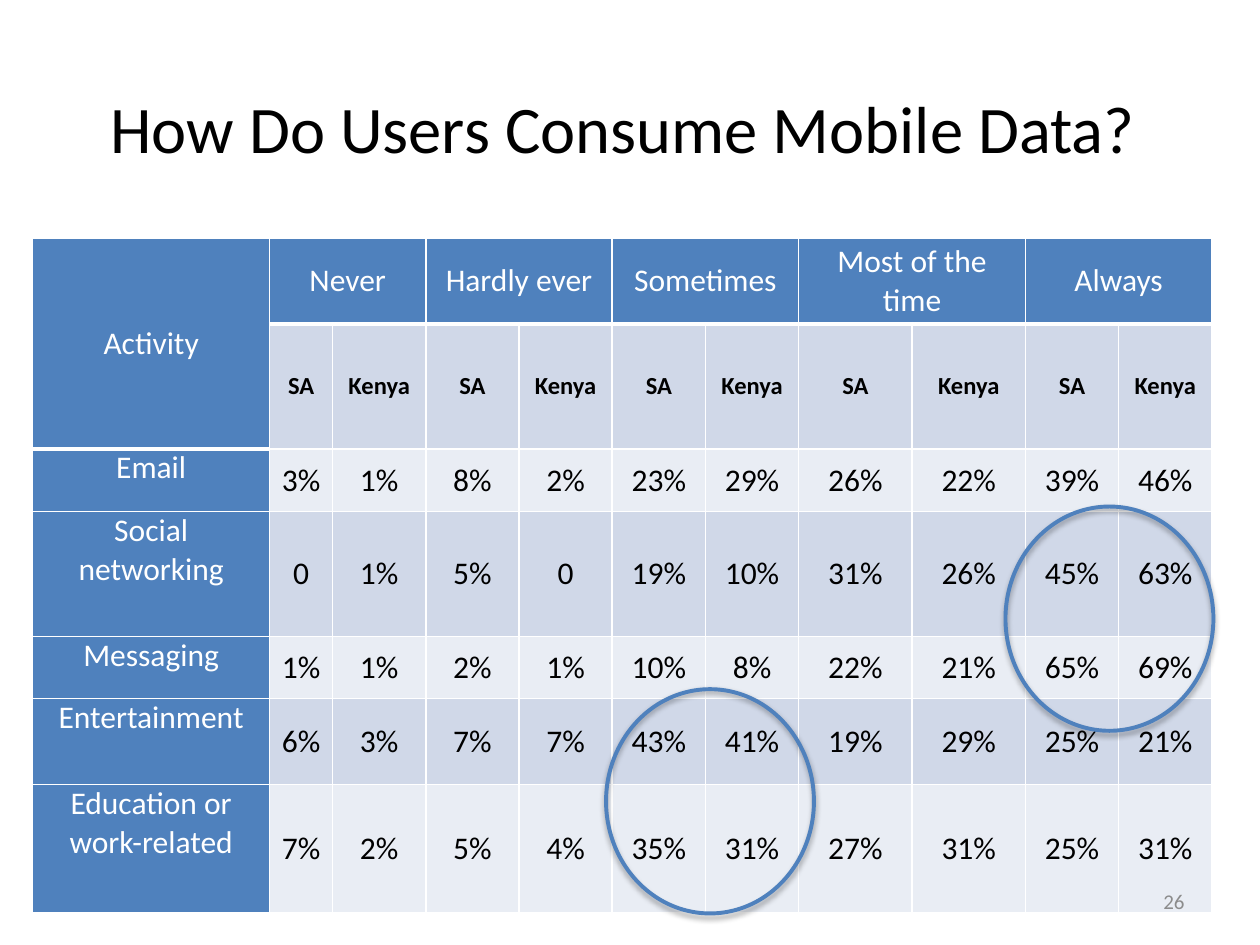
"""Builds a slide with a table of mobile data use in SA and Kenya."""
from lxml import etree
from pptx import Presentation
from pptx.dml.color import RGBColor
from pptx.enum.shapes import MSO_SHAPE
from pptx.enum.text import MSO_ANCHOR, PP_ALIGN
from pptx.oxml.ns import qn
from pptx.util import Inches, Pt

OVAL = MSO_SHAPE.OVAL
TOP, MID = MSO_ANCHOR.TOP, MSO_ANCHOR.MIDDLE
MIDDLE, RIGHT = PP_ALIGN.CENTER, PP_ALIGN.RIGHT
BLACK = RGBColor(0, 0, 0)
WHITE = RGBColor(255, 255, 255)
GRAY = RGBColor(0x8C, 0x8C, 0x8C)
BLUE = RGBColor(0x4F, 0x81, 0xBD)
DARK = RGBColor(0xD0, 0xD8, 0xE8)
LIGHT = RGBColor(0xE9, 0xED, 0xF4)

deck = Presentation()
deck.slide_width, deck.slide_height = Inches(10), Inches(7.5)
slide = deck.slides.add_slide(deck.slide_layouts[6])
shapes = slide.shapes


def area(left, top, width, height):
    across, down = deck.slide_width / 100, deck.slide_height / 100
    return [int(n) for n in (left * across, top * down, width * across, height * down)]


def write(frame, text, size, color, align=MIDDLE, bold=False):
    frame.word_wrap = True
    line = frame.paragraphs[0]
    line.alignment = align
    run = line.add_run()
    run.text = text
    run.font.name = "Calibri"
    run.font.size = Pt(size)
    run.font.bold = bold
    run.font.color.rgb = color


title = shapes.add_textbox(*area(2.6, 3.6, 93.7, 19.6)).text_frame
title.vertical_anchor = MID
write(title, "How Do Users Consume Mobile Data?", 38, BLACK)

heads = ["Never", "Hardly ever", "Sometimes", "Most of the time", "Always"]
rows = [
    ["Activity"] + [text for head in heads for text in (head, "")],
    [""] + ["SA", "Kenya"] * len(heads),
    ["Email", "3%", "1%", "8%", "2%", "23%", "29%", "26%", "22%", "39%", "46%"],
    ["Social networking", "0", "1%", "5%", "0", "19%", "10%", "31%", "26%", "45%", "63%"],
    ["Messaging", "1%", "1%", "2%", "1%", "10%", "8%", "22%", "21%", "65%", "69%"],
    ["Entertainment", "6%", "3%", "7%", "7%", "43%", "41%", "19%", "29%", "25%", "21%"],
    ["Education or work-related", "7%", "2%", "5%", "4%", "35%", "31%", "27%", "31%", "25%", "31%"],
]
wides = [18.8, 5] + [7.4] * 5 + [9] * 2 + [7.4] * 2
talls = [9.1, 13.2, 6.65, 13.2, 6.6, 9.1, 13.6]
grid = shapes.add_table(len(rows), len(wides), *area(2.6, 25.2, sum(wides), sum(talls))).table
for col, wide in zip(grid.columns, wides):
    col.width = int(deck.slide_width * wide / 100)
for row, tall in zip(grid.rows, talls):
    row.height = int(deck.slide_height * tall / 100)

for r, texts in enumerate(rows):
    for c, text in enumerate(texts):
        cell = grid.cell(r, c)
        label = r == 0 or c == 0
        cell.margin_left = cell.margin_right = Inches(0.07)
        cell.margin_top = cell.margin_bottom = 0
        cell.vertical_anchor = TOP if c == 0 and r > 1 else MID
        props = cell._tc.get_or_add_tcPr()
        for side in "LRTB":
            thick = 3 if r == 0 and side == "B" else 1
            edge = etree.SubElement(props, qn(f"a:ln{side}"), w=str(Pt(thick)))
            paint = etree.SubElement(edge, qn("a:solidFill"))
            etree.SubElement(paint, qn("a:srgbClr"), val=str(WHITE))
        cell.fill.solid()
        cell.fill.fore_color.rgb = BLUE if label else DARK if r % 2 else LIGHT
        if text:
            write(cell.text_frame, text, 14 if r == 1 else 18,
                  WHITE if label else BLACK, bold=r == 1)

grid.cell(0, 0).merge(grid.cell(1, 0))
for c in range(1, len(wides), 2):
    grid.cell(0, c).merge(grid.cell(0, c + 1))

for left, top in [(79.8, 53.6), (48.1, 72.93)]:
    ring = shapes.add_shape(OVAL, *area(left, top, 16.5, 23.73))
    ring.fill.background()
    ring.line.color.rgb = BLUE
    ring.line.width = Pt(2.25)
    ring.shadow.inherit = False
    glow = etree.SubElement(ring._element.spPr.find(qn("a:effectLst")), qn("a:outerShdw"),
                            blurRad="40000", dist="23000", dir="5400000", rotWithShape="0")
    tint = etree.SubElement(glow, qn("a:srgbClr"), val=str(BLACK))
    etree.SubElement(tint, qn("a:alpha"), val="35000")

page = shapes.add_textbox(*area(71.7, 92.67, 23.3, 5.33)).text_frame
page.vertical_anchor = MID
write(page, "26", 12, GRAY, RIGHT)

deck.save("out.pptx")
